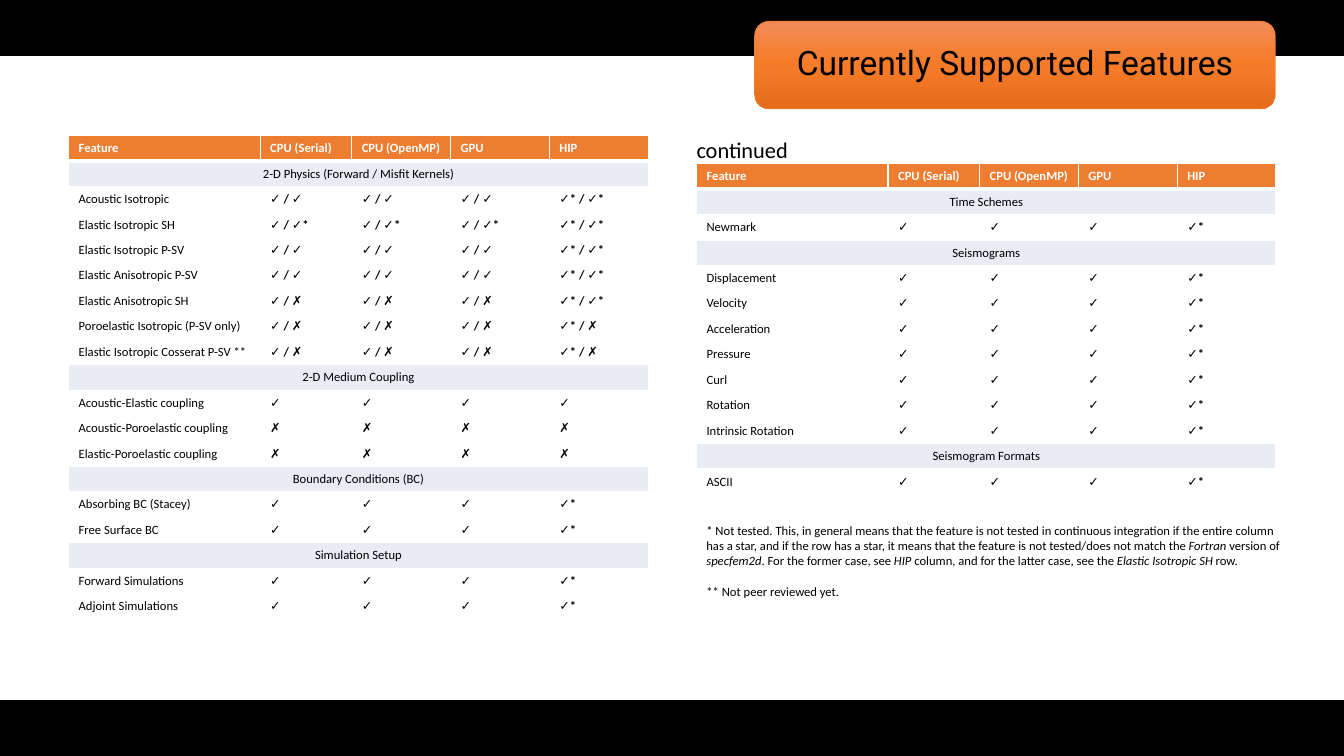
"""Build the slide that lists the currently supported features."""
import copy

import pptx
import pptx.dml.color
import pptx.enum.shapes
import pptx.enum.text
import pptx.oxml
import pptx.oxml.ns
import pptx.util

Pt = pptx.util.Pt
ALIGN = pptx.enum.text.PP_ALIGN
SHAPE = pptx.enum.shapes.MSO_SHAPE

COLORS = {
    "black": "000000",
    "white": "FFFFFF",
    "orange": "ED7D31",
    "band": "E9EBF5",
    "light": "F18C57",
    "mid": "F67B28",
    "dark": "E56C19",
}
WIDTHS = [136.8, 65.4, 70.6, 70.6, 70.6]
HEADS = ["Feature", "CPU (Serial)", "CPU (OpenMP)", "GPU", "HIP"]

PHYSICS = [
    ("2-D Physics (Forward / Misfit Kernels)", [
        ("Acoustic Isotropic", "✓ / ✓", "✓* / ✓*"),
        ("Elastic Isotropic SH", "✓ / ✓*", "✓* / ✓*"),
        ("Elastic Isotropic P-SV", "✓ / ✓", "✓* / ✓*"),
        ("Elastic Anisotropic P-SV", "✓ / ✓", "✓* / ✓*"),
        ("Elastic Anisotropic SH", "✓ / ✗", "✓* / ✓*"),
        ("Poroelastic Isotropic (P-SV only)", "✓ / ✗", "✓* / ✗"),
        ("Elastic Isotropic Cosserat P-SV **", "✓ / ✗", "✓* / ✗"),
    ]),
    ("2-D Medium Coupling", [
        ("Acoustic-Elastic coupling", "✓", "✓"),
        ("Acoustic-Poroelastic coupling", "✗", "✗"),
        ("Elastic-Poroelastic coupling", "✗", "✗"),
    ]),
    ("Boundary Conditions (BC)", [
        ("Absorbing BC (Stacey)", "✓", "✓*"),
        ("Free Surface BC", "✓", "✓*"),
    ]),
    ("Simulation Setup", [
        ("Forward Simulations", "✓", "✓*"),
        ("Adjoint Simulations", "✓", "✓*"),
    ]),
]
OUTPUT = [
    ("Time Schemes", [("Newmark", "✓", "✓*")]),
    ("Seismograms", [
        (name, "✓", "✓*")
        for name in ("Displacement", "Velocity", "Acceleration", "Pressure",
                     "Curl", "Rotation", "Intrinsic Rotation")
    ]),
    ("Seismogram Formats", [("ASCII", "✓", "✓*")]),
]
NOTES = [
    ["* Not tested. This, in general means that the feature is not tested in "
     "continuous integration if the entire column has a star, and if the row "
     "has a star, it means that the feature is not tested/does not match the ",
     "Fortran", " version of ", "specfem2d", ". For the former case, see ",
     "HIP", " column, and for the latter case, see the ",
     "Elastic Isotropic SH", " row."],
    ["** Not peer reviewed yet."],
]


def color(name):
    return pptx.dml.color.RGBColor.from_string(COLORS[name])


def style(para, size, hue="black", bold=False, face="Calibri"):
    font = para.font
    font.name, font.size, font.bold = face, Pt(size), bold
    font.color.rgb = color(hue)


def add_bar(slide, top):
    bar = slide.shapes.add_shape(SHAPE.RECTANGLE, 0, Pt(top), Pt(960), Pt(40))
    bar.shadow.inherit = False
    bar.fill.solid()
    bar.fill.fore_color.rgb = color("black")
    bar.line.fill.background()


def add_title(slide, text):
    plate = slide.shapes.add_shape(
        SHAPE.ROUNDED_RECTANGLE, Pt(539), Pt(15.2), Pt(372), Pt(62.6))
    plate.shadow.inherit = False
    plate.line.color.rgb = color("orange")
    plate.line.width = Pt(0.5)
    plate.fill.gradient()
    plate.fill.gradient_angle = 270
    stops = plate.element.xpath(".//a:gsLst")[0]
    stops.insert(1, copy.deepcopy(stops[0]))
    shades = [(0, "light"), (0.5, "mid"), (1, "dark")]
    for stop, (place, hue) in zip(plate.fill.gradient_stops, shades):
        stop.position = place
        stop.color.rgb = color(hue)
    plate.text_frame.vertical_anchor = pptx.enum.text.MSO_ANCHOR.MIDDLE
    para = plate.text_frame.paragraphs[0]
    para.text = text
    para.alignment = ALIGN.CENTER
    para.line_spacing = 0.9
    style(para, 24, face="Roboto")


def add_edges(cell, base):
    props = cell._tc.get_or_add_tcPr()
    sides = [("L", 1), ("R", 1), ("T", 1), ("B", base)]
    for spot, (side, width) in enumerate(sides):
        props.insert(spot, pptx.oxml.parse_xml(
            f'<a:ln{side} {pptx.oxml.ns.nsdecls("a")} w="{Pt(width)}">'
            f'<a:solidFill><a:srgbClr val="{COLORS["white"]}"/></a:solidFill>'
            f'</a:ln{side}>'))


def fill_cell(cell, text, fill=None, hue="black", bold=False, base=1):
    if fill:
        cell.fill.solid()
        cell.fill.fore_color.rgb = color(fill)
    else:
        cell.fill.background()
    add_edges(cell, base)
    para = cell.text_frame.paragraphs[0]
    para.text = text
    style(para, 9, hue, bold)


def add_grid(slide, left, top, groups):
    count = 1 + sum(1 + len(rows) for _, rows in groups)
    table = slide.shapes.add_table(
        count, len(HEADS), Pt(left), Pt(top),
        Pt(sum(WIDTHS)), Pt(18 * count)).table
    table.first_row = table.horz_banding = False
    for column, width in zip(table.columns, WIDTHS):
        column.width = Pt(width)
    for col, head in enumerate(HEADS):
        fill_cell(table.cell(0, col), head, "orange", "white", True, 3)
    row = 1
    for label, items in groups:
        first = table.cell(row, 0)
        first.merge(table.cell(row, len(HEADS) - 1))
        fill_cell(first, label, "band")
        first.text_frame.paragraphs[0].alignment = ALIGN.CENTER
        for name, mark, hip in items:
            row += 1
            for col, text in enumerate([name, mark, mark, mark, hip]):
                fill_cell(table.cell(row, col), text, bold=col > 0)
        row += 1


def add_text(slide, left, top, width, height, lines, size, inset=True):
    box = slide.shapes.add_textbox(Pt(left), Pt(top), Pt(width), Pt(height))
    frame = box.text_frame
    frame.word_wrap = True
    if not inset:
        frame.margin_left = frame.margin_right = 0
        frame.margin_top = frame.margin_bottom = 0
    for index, parts in enumerate(lines):
        para = frame.add_paragraph() if index else frame.paragraphs[0]
        if index:
            para.space_before = Pt(11)
        style(para, size)
        for spot, part in enumerate(parts):
            run = para.add_run()
            run.text = part
            if spot % 2:
                run.font.italic = True


def main():
    deck = pptx.Presentation()
    deck.slide_width, deck.slide_height = Pt(960), Pt(540)
    slide = deck.slides.add_slide(deck.slide_layouts[6])
    for top in (500, 0):
        add_bar(slide, top)
    add_title(slide, "Currently Supported Features")
    add_grid(slide, 49, 97, PHYSICS)
    add_grid(slide, 497.5, 117, OUTPUT)
    add_text(slide, 497.5, 97.2, 142.6, 19.4, [["continued"]], 16, False)
    add_text(slide, 497.5, 370, 426, 62, NOTES, 9)
    deck.save("out.pptx")


if __name__ == "__main__":
    main()
